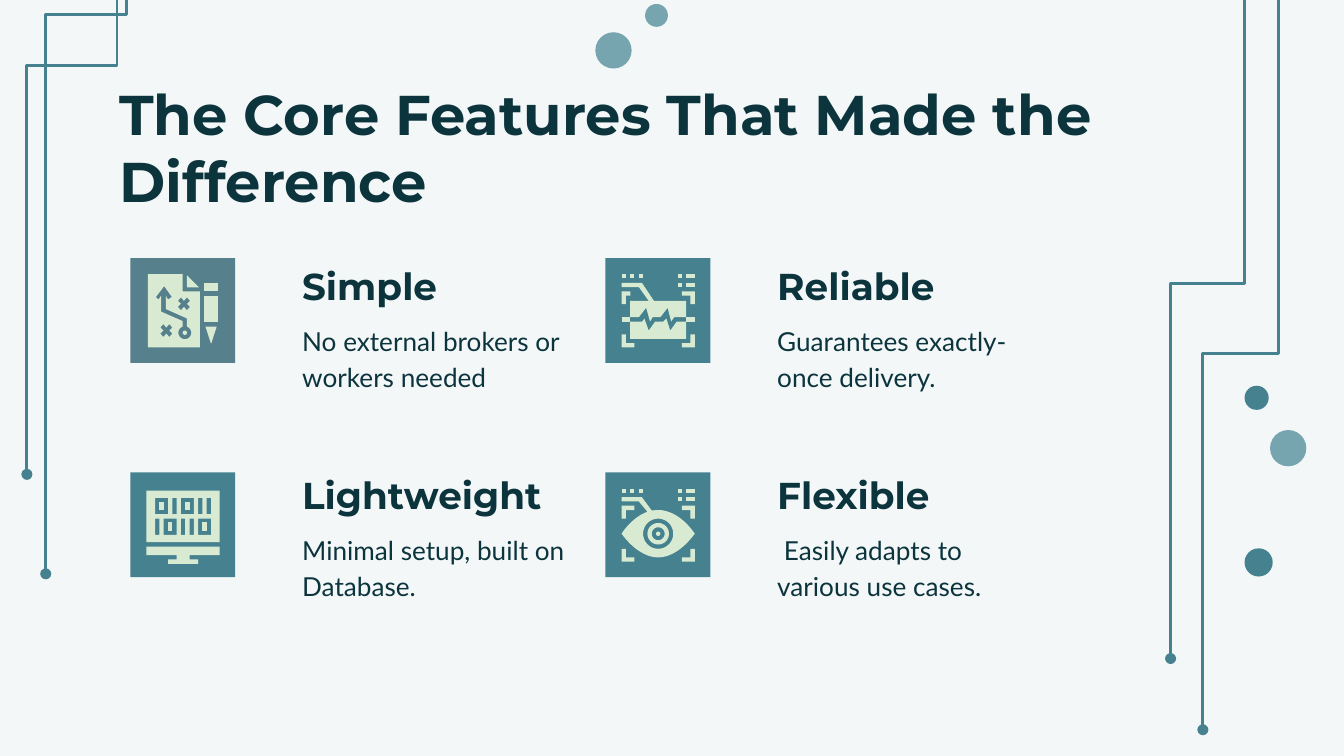
from dataclasses import dataclass
from math import cos, radians, sin

from lxml.etree import SubElement
from pptx import Presentation
from pptx.dml.color import RGBColor
from pptx.enum.shapes import MSO_CONNECTOR, MSO_SHAPE
from pptx.enum.text import MSO_ANCHOR
from pptx.oxml.ns import qn
from pptx.util import Inches, Pt


@dataclass(frozen=True)
class Theme:
    paper: RGBColor = RGBColor.from_string("F3F7F8")
    ink: RGBColor = RGBColor.from_string("0C343D")
    teal: RGBColor = RGBColor.from_string("45818E")
    slate: RGBColor = RGBColor.from_string("55808C")
    mist: RGBColor = RGBColor.from_string("76A5AF")
    mint: RGBColor = RGBColor.from_string("D9EAD3")
    head_font: str = "Montserrat"
    body_font: str = "Lato"
    title_size: int = 30
    head_size: int = 20
    body_size: int = 14
    line: float = 1.5


T = Theme()
SLIDE_W, SLIDE_H = Inches(10), Inches(5.625)
TILE, INSET, GLYPH_CELLS = 7.8, 1.2, 17


def u(n):
    """Length of n modules; the slide is 100 modules wide."""
    return round(n * SLIDE_W / 100)


# Basic parts
def add_solid(s, kind, box, color):
    sp = s.shapes.add_shape(kind, *map(u, box))
    sp.shadow.inherit = False
    sp.fill.solid()
    sp.fill.fore_color.rgb = color
    sp.line.fill.background()


def add_text(s, box, text, font, size, bold=False, spacing=1.0, anchor=MSO_ANCHOR.TOP):
    tf = s.shapes.add_textbox(*map(u, box)).text_frame
    tf.word_wrap = True
    tf.vertical_anchor = anchor
    tf.margin_left = tf.margin_right = tf.margin_top = tf.margin_bottom = u(1)
    p = tf.paragraphs[0]
    p.text = text
    p.line_spacing = spacing
    p.font.name, p.font.size, p.font.bold = font, Pt(size), bold
    p.font.color.rgb = T.ink


# Outlines in icon cells
def rect(x, y, w, h):
    return [(x, y), (x + w, y), (x + w, y + h), (x, y + h)]


def arc(cx, cy, r, start=0, sweep=360, steps=40):
    angles = [radians(start + sweep * i / steps) for i in range(steps + 1)]
    return [(cx + r * cos(a), cy + r * sin(a)) for a in angles]


def curve(a, b, c, d, steps=12):
    return [tuple((1 - t) ** 3 * p + 3 * t * (1 - t) ** 2 * q
                  + 3 * t * t * (1 - t) * m + t ** 3 * n
                  for p, q, m, n in zip(a, b, c, d))
            for t in (i / steps for i in range(steps + 1))]


def cross(cx, cy):
    arms = [(0, -.7), (.7, -1.5), (1.4, -.7), (.7, 0), (1.4, .7), (.7, 1.5),
            (0, .7), (-.7, 1.5), (-1.4, .7), (-.7, 0), (-1.4, -.7), (-.7, -1.5)]
    return [(cx + x, cy + y) for x, y in arms]


def corner(x, y, dx, dy, across=3):
    steps = [(0, 0), (across, 0), (across, 1), (1, 1), (1, 3), (0, 3)]
    return [(x + dx * a, y + dy * b) for a, b in steps]


# Icons: a list of shapes, each a list of contours (later ones are holes)
def plan_icon():
    route = [(4.1, 2.8), (5.9, 5.3), (5, 5.9), (4.5, 5), (4.5, 8.1), (9.4, 10.3),
             *arc(8.9, 13.6, 1.5, -70, 320), (8.4, 10.9), (3.4, 8.7), (3.4, 5),
             (2.8, 5.9), (2.2, 5.3)]
    page = [(.3, 0), (.3, 17), (12.4, 17), (12.4, 4), (8.4, 4), (8.4, 0)]
    return [[page, cross(8.7, 6.9), cross(4.6, 13.1), route],
            [arc(8.9, 13.6, .5)],
            [[(9.4, .3), (9.4, 3.1), (12.2, 3.1)]],
            [rect(13.4, 2, 3.1, 2)], [rect(13.4, 5, 3.1, 6)],
            [[(13.7, 12.2), (15, 16.2), (16.3, 12.2)]]]


def scan_frame(top_left_width):
    dots = [(0, 0, 1), (2, 0, 1), (4, 0, 1), (13, 0, 1), (13, 2, 1), (15, 0, 2), (15, 2, 2)]
    corners = [corner(0, 4, 1, 1, top_left_width), corner(17, 4, -1, 1),
               corner(0, 17, 1, -1), corner(17, 17, -1, -1)]
    return [[rect(x, y, w, 1)] for x, y, w in dots] + [[c] for c in corners]


def pulse_icon():
    upper = [(0, 2), (0, 3), (4, 3), (6.3, 6.2), (2, 6.2), (2, 10), (4, 10), (5.7, 7.8),
             (6.6, 11), (7.2, 10), (9, 10), (10.7, 7.8), (11.5, 11), (12.2, 10),
             (15, 10), (15, 6.2), (7.5, 6.2), (4.7, 2)]
    lower = [(5.3, 10.3), (4.8, 11), (2, 11), (2, 15), (15, 15), (15, 11), (12.8, 11),
             (11.3, 13.1), (10.4, 10.3), (9.7, 11), (7.8, 11), (6.3, 13.1)]
    return [[upper], [lower], [rect(0, 10, 2, 1)], [rect(15, 10, 2, 1)], *scan_frame(2)]


def eye_icon():
    lids = [(0, 2), (0, 3), (4, 3),
            *curve((6, 5.4), (3.5, 6.3), (1.3, 8.5), (0, 10.5)),
            *curve((0, 10.5), (1.9, 13.1), (5, 16), (8.5, 16)),
            *curve((8.5, 16), (12, 16), (15.1, 13.1), (17, 10.5)),
            *curve((17, 10.5), (15.1, 7.7), (12, 5), (8.5, 5)), (7, 5.1), (4.7, 2)]
    iris = [arc(8.5, 10.5, r) for r in (3.5, 2.5, 1.5, .5)]
    return [[lids, iris[0]], [iris[1], iris[2]], [iris[3]], *scan_frame(3)]


def monitor_icon():
    stand = [(0, 13), (0, 15), (7, 15), (7, 16), (5, 16), (5, 17),
             (12, 17), (12, 16), (10, 16), (10, 15), (17, 15), (17, 13)]
    screen, centers = [rect(0, 0, 17, 12)], []
    for y, zeros, ones in ((1.7, (2, 8), (6, 12, 14)), (6.5, (4, 12), (2, 8, 10))):
        screen += [rect(x, y, 3, 3.8) for x in zeros] + [rect(x, y, 1, 3.8) for x in ones]
        centers += [[rect(x + 1, y + .9, 1, 2)] for x in zeros]
    return [screen, *centers, [stand]]


def draw_icon(s, box, icon):
    x, y, size = box
    cell = size / GLYPH_CELLS
    for contours in icon:
        placed = [[(u(x + a * cell), u(y + b * cell)) for a, b in c] for c in contours]
        fb = s.shapes.build_freeform(*placed[0][0], scale=1.0)
        for i, points in enumerate(placed):
            if i:
                fb.move_to(*points[0])
            fb.add_line_segments(points[1:], close=True)
        sp = fb.convert_to_shape()
        sp.shadow.inherit = False
        sp.fill.solid()
        sp.fill.fore_color.rgb = T.mint
        sp.line.fill.background()


# Regions
def add_circuit(s, x1, y1, x2, y2, bend):
    """Vertical trace from (x1, y1) that steps sideways at bend and ends in a dot."""
    cx, cy, half_l, half_w = (x1 + x2) / 2, (y1 + y2) / 2, (y2 - y1) / 2, (x1 - x2) / 2
    c = s.shapes.add_connector(MSO_CONNECTOR.ELBOW, u(cx - half_l), u(cy - half_w),
                               u(cx + half_l), u(cy + half_w))
    c.line.color.rgb, c.line.width = T.teal, Pt(T.line)
    sppr = c._element.spPr
    sppr.find(qn("a:xfrm")).set("rot", "5400000")
    guides = sppr.find(qn("a:prstGeom")).get_or_add_avLst()
    share = round((bend - y1) / (y2 - y1) * 100000)
    SubElement(guides, qn("a:gd"), name="adj1", fmla=f"val {share}")
    SubElement(sppr.find(qn("a:ln")), qn("a:tailEnd"), type="oval")
    SubElement(sppr, qn("a:effectLst"))


def add_decoration(s):
    for trace in ((9.4, -8.6, 3.4, 42.7, 1.1), (8.7, -10, 2, 35.3, 4.9),
                  (95.1, -1.7, 89.5, 54.3, 26.3), (92.6, -6.9, 87.1, 49, 21.1)):
        add_circuit(s, *trace)
    for x, y, d, color in ((44.3, 2.4, 2.7, T.mist), (92.6, 40.8, 2.1, T.teal),
                           (94.5, 32, 2.7, T.mist), (48, .3, 1.7, T.mist),
                           (92.6, 28.7, 1.8, T.teal)):
        add_solid(s, MSO_SHAPE.OVAL, (x, y, d, d), color)


def add_feature(s, tile_at, text_at, head, body, icon, color, nudge=0):
    x, y = tile_at
    add_solid(s, MSO_SHAPE.RECTANGLE, (x, y, TILE, TILE), color)
    draw_icon(s, (x + INSET, y + INSET + nudge, TILE - 2 * INSET + .05), icon)
    x, y = text_at
    add_text(s, (x, y + 3.35, 21.6, 7.3), body, T.body_font, T.body_size, spacing=1.15)
    add_text(s, (x, y, 21.6, 4.4), head, T.head_font, T.head_size, True, 1.15,
             MSO_ANCHOR.BOTTOM)


def add_features(s, left, top):
    features = [
        ("Simple", "No external brokers or workers needed", plan_icon(), T.slate),
        ("Reliable", "Guarantees exactly-once delivery.", pulse_icon(), T.teal),
        ("Lightweight", "Minimal setup, built on Database.", monitor_icon(), T.teal, .15),
        ("Flexible", " Easily adapts to various use cases.", eye_icon(), T.teal),
    ]
    for i, feature in enumerate(features):
        row, col = divmod(i, 2)
        x = left + 35.35 * col
        add_feature(s, (x, top + 15.95 * row), (x + 11.8, top + .3 + 15.6 * row), *feature)


def main():
    prs = Presentation()
    prs.slide_width, prs.slide_height = SLIDE_W, SLIDE_H
    s = prs.slides.add_slide(prs.slide_layouts[6])
    s.background.fill.solid()
    s.background.fill.fore_color.rgb = T.paper
    add_decoration(s)
    add_text(s, (7.9, 4.9, 84.3, 6.3), "The Core Features That Made the Difference",
             T.head_font, T.title_size, True)
    add_features(s, 9.7, 19.2)
    prs.save("out.pptx")


if __name__ == "__main__":
    main()
